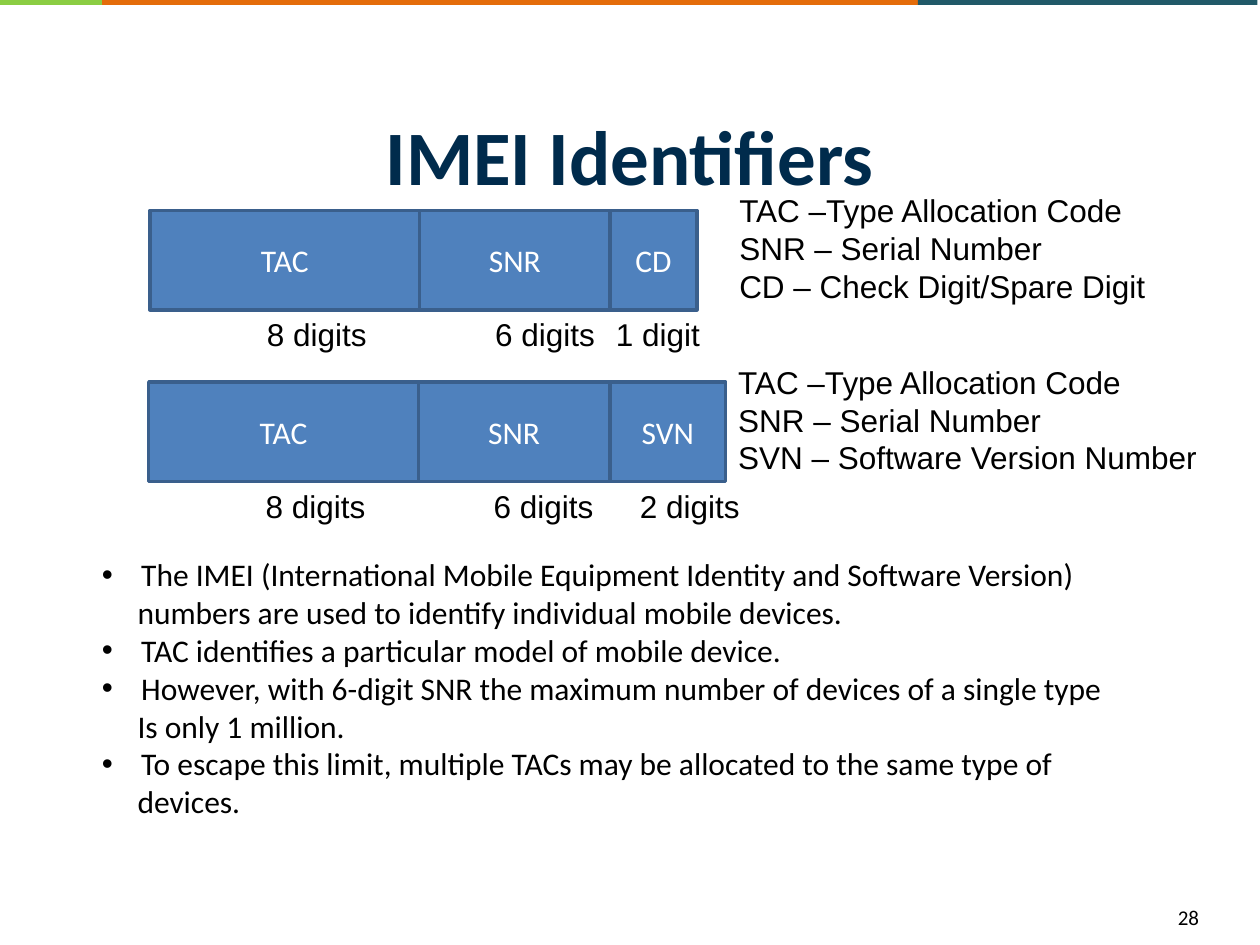
from dataclasses import dataclass

from lxml.etree import SubElement
from pptx import Presentation
from pptx.dml.color import RGBColor
from pptx.enum.shapes import MSO_SHAPE as Kind
from pptx.enum.text import MSO_ANCHOR as Anchor, PP_ALIGN as Align
from pptx.oxml.ns import qn
from pptx.slide import Slide
from pptx.util import Pt

BLACK = RGBColor(0x00, 0x00, 0x00)
WHITE = RGBColor(0xFF, 0xFF, 0xFF)
NAVY = RGBColor(0x00, 0x2B, 0x4C)
BLUE = RGBColor(0x4F, 0x81, 0xBD)
EDGE = RGBColor(0x3A, 0x5F, 0x8C)
GREEN = RGBColor(0x8B, 0xCD, 0x43)
ORANGE = RGBColor(0xE4, 0x6C, 0x0A)
TEAL = RGBColor(0x21, 0x59, 0x68)

STRIPES = [(0, 58.3, GREEN), (58.3, 466.2, ORANGE), (524.5, 194.1, TEAL)]

# Each field: name, width, size label, label left, label width
IMEI = [("TAC", 154.1, "8 digits", 145.4, 72),
        ("SNR", 108.7, "6 digits", 275.8, 72),
        ("CD", 49.7, "1 digit", 344.9, 63.4)]
IMEISV = [("TAC", 154.1, "8 digits", 144.7, 72),
          ("SNR", 109.4, "6 digits", 275, 72),
          ("SVN", 66.2, "2 digits", 358.6, 72)]
TERMS = ["TAC –Type Allocation Code", "SNR – Serial Number"]

# Each note: its lines, the first of which takes the bullet
NOTES = [
    ["The IMEI (International Mobile Equipment Identity and Software Version)",
     "numbers are used to identify individual mobile devices."],
    ["TAC identifies a particular model of mobile device."],
    ["However, with 6-digit SNR the maximum number of devices of a single type",
     "Is only 1 million."],
    ["To escape this limit, multiple TACs may be allocated to the same type of",
     "devices."],
]


@dataclass
class Deck:
    slide: Slide
    head: str = "Calibri"
    body: str = "Arial"
    size: float = 18

    def run(self, para, text, font, color=BLACK, size=None, bold=False):
        run = para.add_run()
        run.text = text
        run.font.name = font
        run.font.size = Pt(size or self.size)
        run.font.bold = bold
        run.font.color.rgb = color

    def rect(self, left, top, width, height, fill, edge=None):
        box = self.slide.shapes.add_shape(
            Kind.RECTANGLE, Pt(left), Pt(top), Pt(width), Pt(height))
        box.shadow.inherit = False
        box.fill.solid()
        box.fill.fore_color.rgb = fill
        if edge is None:
            box.line.fill.background()
        else:
            box.line.color.rgb = edge
            box.line.width = Pt(2)
        return box

    def frame(self, left, top, width, height, wrap=True):
        box = self.slide.shapes.add_textbox(
            Pt(left), Pt(top), Pt(width), Pt(height))
        box.text_frame.word_wrap = wrap
        return box.text_frame

    def title(self, text):
        frame = self.frame(36, 49, 648, 79.2)
        frame.vertical_anchor = Anchor.MIDDLE
        para = frame.paragraphs[0]
        para.alignment = Align.CENTER
        self.run(para, text, self.head, NAVY, 44, True)

    def lines(self, left, top, width, height, texts):
        frame = self.frame(left, top, width, height, False)
        for i, text in enumerate(texts):
            para = frame.add_paragraph() if i else frame.paragraphs[0]
            self.run(para, text, self.body)

    def field(self, left, top, width, name):
        frame = self.rect(left, top, width, 56.9, BLUE, EDGE).text_frame
        frame.vertical_anchor = Anchor.MIDDLE
        para = frame.paragraphs[0]
        para.alignment = Align.CENTER
        self.run(para, name, self.head, WHITE)

    def layout(self, left, top, fields, key, span):
        """Draw a row of number fields, their digit counts and the key."""
        edge = left
        for name, width, label, start, room in fields:
            self.field(edge, top, width, name)
            self.lines(start, top + 56.4, room, 28.8, [label])
            edge += width
        self.lines(left + 329.7, top - 14.4, span, 72.7, TERMS + [key])

    def notes(self, left, top, width, height, notes):
        frame = self.frame(left, top, width, height)
        para = None
        for note in notes:
            for i, text in enumerate(note):
                para = frame.add_paragraph() if para else frame.paragraphs[0]
                self.indent(para, bullet=i == 0)
                self.run(para, text, self.head)

    def indent(self, para, bullet):
        props = para._p.get_or_add_pPr()
        props.set("marL", str(Pt(22.5 if bullet else 20.4)))
        props.set("indent", str(Pt(-22.5 if bullet else 0)))
        if bullet:
            SubElement(props, qn("a:buFont")).set("typeface", self.body)
            SubElement(props, qn("a:buChar")).set("char", "•")

    def number(self, text):
        para = self.frame(666, 513.4, 46.1, 24).paragraphs[0]
        self.run(para, text, self.head, size=12)


def main():
    show = Presentation()
    show.slide_width, show.slide_height = Pt(720), Pt(540)
    deck = Deck(show.slides.add_slide(show.slide_layouts[6]))
    for left, width, color in STRIPES:
        deck.rect(left, 0, width, 2.9, color)
    deck.title("IMEI Identifiers")
    deck.notes(51.1, 313.9, 643, 203.8, NOTES)
    deck.layout(85.7, 120.2, IMEI, "CD – Check Digit/Spare Digit", 249.1)
    deck.layout(85, 218.2, IMEISV, "SVN – Software Version Number", 279.4)
    deck.number("28")
    show.save("out.pptx")


if __name__ == "__main__":
    main()
